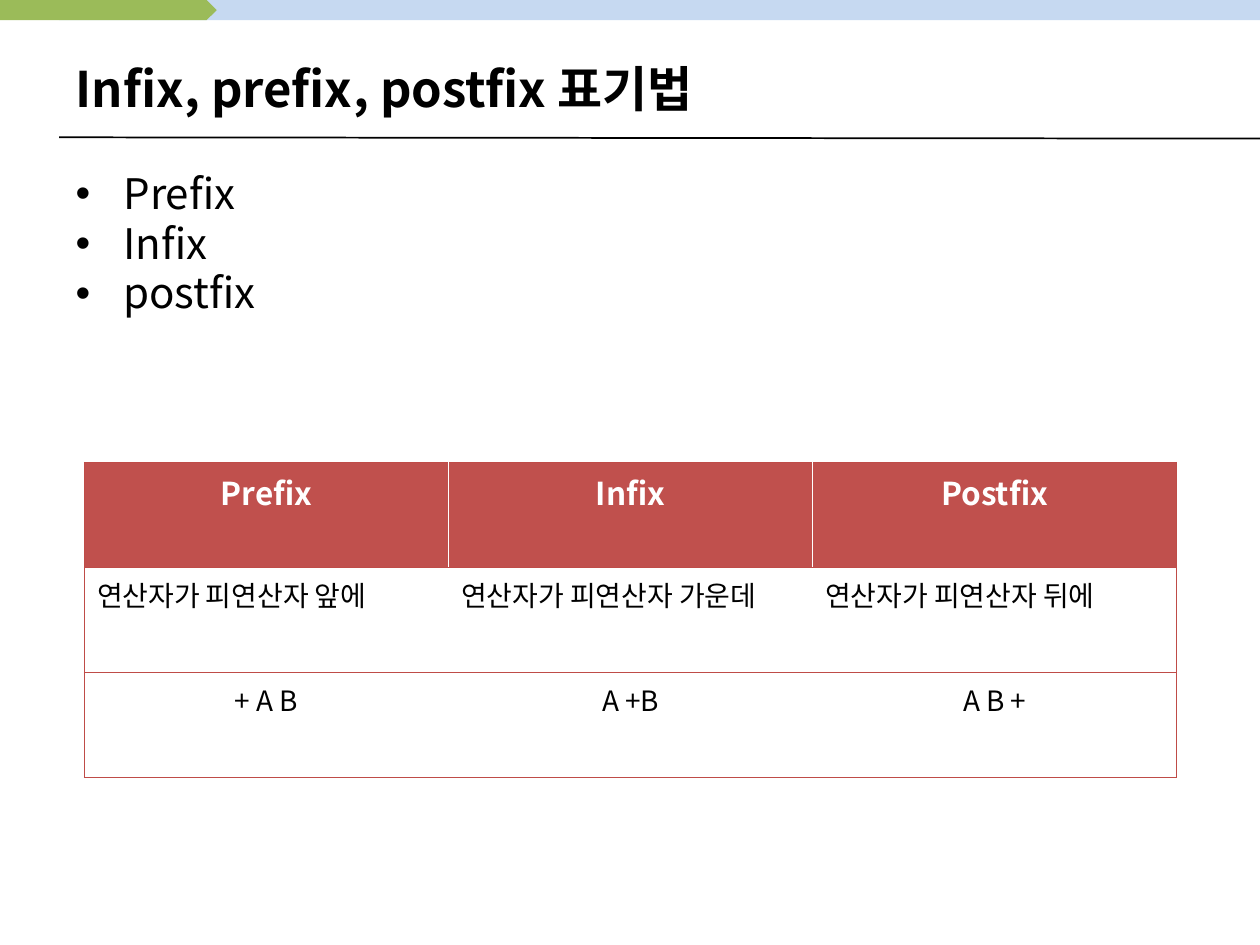
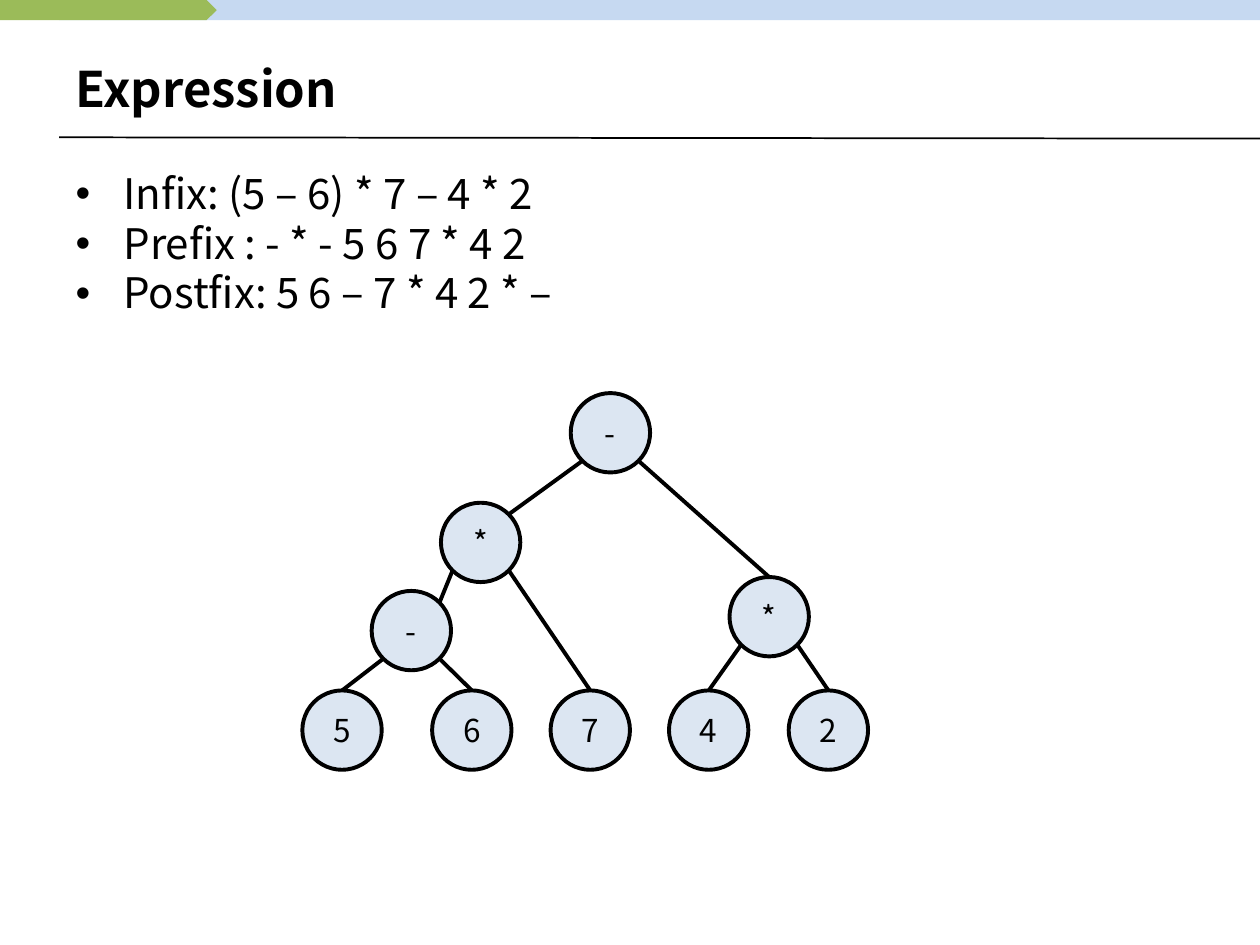
from lxml import etree
from pptx import Presentation
from pptx.dml.color import RGBColor
from pptx.enum.shapes import MSO_CONNECTOR, MSO_SHAPE
from pptx.enum.text import MSO_ANCHOR, MSO_AUTO_SIZE, PP_ALIGN
from pptx.oxml.ns import qn
from pptx.util import Inches, Pt

LEFT, CENTER = PP_ALIGN.LEFT, PP_ALIGN.CENTER
TOP, MIDDLE = MSO_ANCHOR.TOP, MSO_ANCHOR.MIDDLE
RECT, ARROW, OVAL = MSO_SHAPE.RECTANGLE, MSO_SHAPE.PENTAGON, MSO_SHAPE.OVAL
STRAIGHT = MSO_CONNECTOR.STRAIGHT
NO_FIT = MSO_AUTO_SIZE.NONE

FONT = "Noto Sans CJK KR"
COLORS = {
    "band": "C6D9F1",
    "tab": "9BBB59",
    "ink": "000000",
    "white": "FFFFFF",
    "head": "C0504D",
    "edge": "BF4C48",
    "node": "DCE6F2",
}
TITLE_BOX = (0.5, 0.3, 9.34, 0.79)
BODY_BOX = (0.5, 1.33, 9, 5.37)
TABLE_BOX = (0.67, 3.67, 8.67, 2.5)
TREE_BOX = (2.4, 3.12, 4.49, 2.99)

ROWS = [
    ("Prefix", "Infix", "Postfix"),
    ("연산자가 피연산자 앞에", "연산자가 피연산자 가운데", "연산자가 피연산자 뒤에"),
    ("+ A B", "A +B", "A B +"),
]

# Each node: sign, left and top within the tree box.
NODE = 0.63
NODES = {
    "root": ("-", 2.13, 0),
    "mul": ("*", 1.1, 0.87),
    "sub": ("-", 0.55, 1.57),
    "prod": ("*", 3.39, 1.46),
    "five": ("5", 0, 2.36),
    "six": ("6", 1.03, 2.36),
    "seven": ("7", 1.97, 2.36),
    "four": ("4", 2.91, 2.36),
    "two": ("2", 3.86, 2.36),
}
# Offsets from a node's centre to the points where edges meet it.
DIAG = NODE / 2 * 0.71
SPOTS = {
    "top": (0, -NODE / 2),
    "ne": (DIAG, -DIAG),
    "sw": (-DIAG, DIAG),
    "se": (DIAG, DIAG),
}
EDGES = [
    ("root", "sw", "mul", "ne"),
    ("root", "se", "prod", "top"),
    ("mul", "sw", "sub", "ne"),
    ("mul", "se", "seven", "top"),
    ("sub", "sw", "five", "top"),
    ("sub", "se", "six", "top"),
    ("prod", "sw", "four", "top"),
    ("prod", "se", "two", "top"),
]


def color(name):
    return RGBColor.from_string(COLORS[name])


def inches(box):
    return [Inches(n) for n in box]


def write(frame, *lines, size=18, ink="ink", bold=False, align=LEFT,
          anchor=TOP, before=0, pitch=None):
    """Fill a text frame with one paragraph per line and return them."""
    frame.vertical_anchor = anchor
    frame.text = "\n".join(lines)
    for para in frame.paragraphs:
        para.alignment = align
        para.space_before = Pt(before)
        para.line_spacing = pitch
        for run in para.runs:
            font = run.font
            font.name, font.size, font.bold = FONT, Pt(size), bold
            font.color.rgb = color(ink)
            etree.SubElement(run._r.rPr, qn("a:ea"), typeface=FONT)
    return frame.paragraphs


def place(shape, box):
    shape.left, shape.top, shape.width, shape.height = inches(box)


def draw(slide, kind, box, fill, width=0):
    shape = slide.shapes.add_shape(kind, *inches(box))
    shape.shadow.inherit = False
    shape.fill.solid()
    shape.fill.fore_color.rgb = color(fill)
    if width:
        shape.line.color.rgb = color("ink")
        shape.line.width = Pt(width)
    else:
        shape.line.fill.background()
    return shape


def link(slide, start, end, width):
    line = slide.shapes.add_connector(STRAIGHT, *inches(start + end))
    line.line.color.rgb = color("ink")
    line.line.width = Pt(width)
    etree.SubElement(line._element.spPr, qn("a:effectLst"))


def add_frame(deck, title, points):
    """Add a slide with the shared bands, rule, title and bullet list."""
    slide = deck.slides.add_slide(deck.slide_layouts[1])
    draw(slide, RECT, (0.47, 0, 9.53, 0.16), "band")
    draw(slide, ARROW, (0, 0, 1.72, 0.16), "tab")
    link(slide, (0.47, 1.09), (10, 1.1), 1)

    head, body = slide.placeholders
    place(head, TITLE_BOX)
    head.text_frame.auto_size = NO_FIT
    write(head.text_frame, title, size=28, bold=True, anchor=MIDDLE)

    place(body, BODY_BOX)
    body.text_frame.auto_size = NO_FIT
    for para in write(body.text_frame, *points, size=24, before=3.1, pitch=0.88):
        props = para._p.get_or_add_pPr()
        props.set("marL", str(Inches(0.38)))
        props.set("indent", str(Inches(-0.38)))
        etree.SubElement(props, qn("a:buChar"), char="•")
    return slide


def set_edge(cell, side):
    props = cell._tc.get_or_add_tcPr()
    line = etree.Element(qn("a:" + side), w=str(Pt(0.75)))
    fill = etree.SubElement(line, qn("a:solidFill"))
    etree.SubElement(fill, qn("a:srgbClr"), val=COLORS["edge"])
    # Borders come before the fill, in the order left, right, top, bottom.
    props.insert(len(props.findall("*")) - 1, line)


def add_grid(slide, box):
    rows, cols = len(ROWS), len(ROWS[0])
    table = slide.shapes.add_table(rows, cols, *inches(box)).table
    table.horz_banding = False
    for r, row in enumerate(ROWS):
        for c, text in enumerate(row):
            cell = table.cell(r, c)
            cell.fill.solid()
            cell.fill.fore_color.rgb = color("white" if r else "head")
            write(cell.text_frame, text, size=16 if r else 18,
                  ink="ink" if r else "white", bold=r == 0,
                  align=LEFT if r == 1 else CENTER)
            sides = {"lnL": c == 0, "lnR": c == cols - 1, "lnT": True, "lnB": True}
            for side, shown in sides.items():
                if shown:
                    set_edge(cell, side)


def add_tree(slide, box):
    left, top = box[:2]

    def spot(name, side):
        _, x, y = NODES[name]
        dx, dy = SPOTS[side]
        return left + x + NODE / 2 + dx, top + y + NODE / 2 + dy

    for sign, x, y in NODES.values():
        node = draw(slide, OVAL, (left + x, top + y, NODE, NODE), "node", 2.25)
        write(node.text_frame, sign, align=CENTER, anchor=MIDDLE)
    for above, start, below, end in EDGES:
        link(slide, spot(above, start), spot(below, end), 2.25)


def main():
    deck = Presentation()
    deck.slide_width, deck.slide_height = Inches(10), Inches(7.5)
    forms = add_frame(deck, "Infix, prefix, postfix 표기법",
                      ["Prefix", "Infix", "postfix"])
    add_grid(forms, TABLE_BOX)
    sample = add_frame(deck, "Expression", [
        "Infix: (5 – 6) * 7 – 4 * 2",
        "Prefix : - * - 5 6 7 * 4 2",
        "Postfix: 5 6 – 7 * 4 2 * –",
    ])
    add_tree(sample, TREE_BOX)
    deck.save("out.pptx")


if __name__ == "__main__":
    main()
